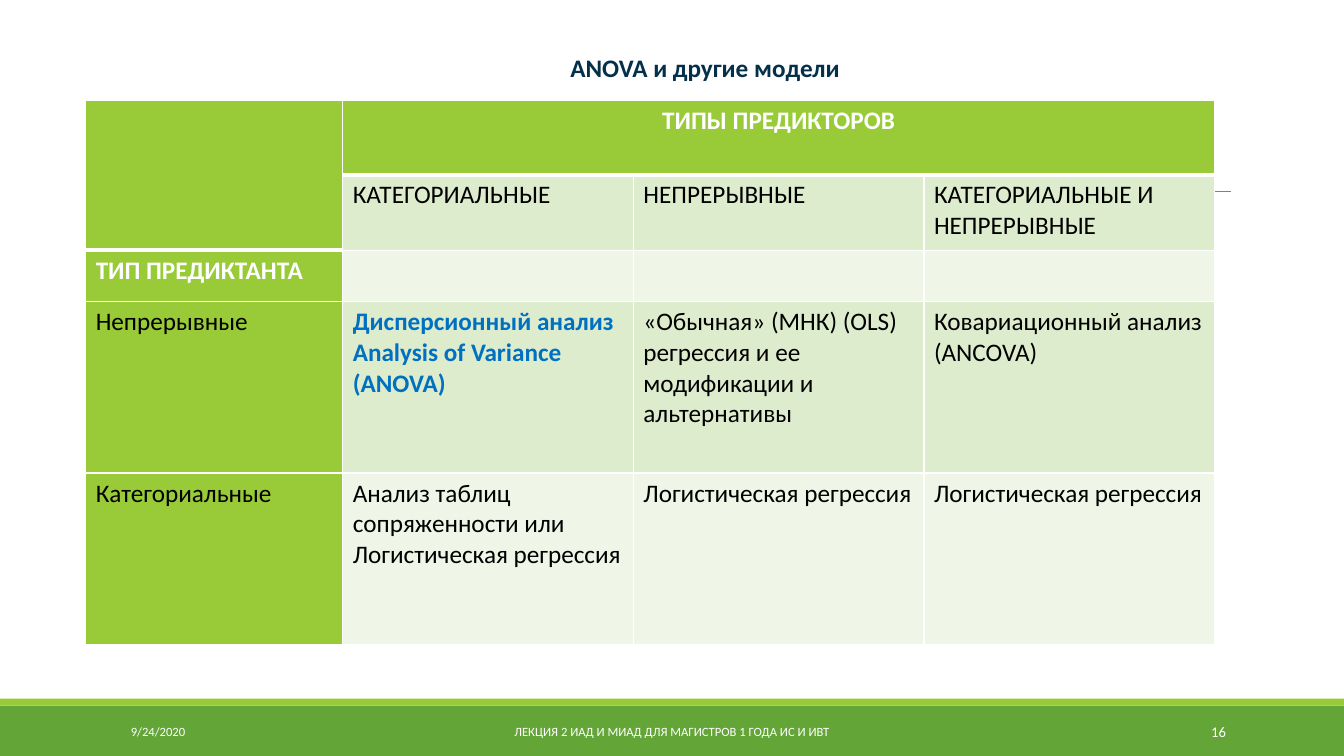
from lxml.etree import SubElement
from pptx import Presentation
from pptx.dml.color import RGBColor
from pptx.enum.shapes import MSO_CONNECTOR as CONN, MSO_SHAPE as SHAPE
from pptx.enum.text import MSO_ANCHOR as ANCHOR, PP_ALIGN as ALIGN
from pptx.oxml.ns import qn
from pptx.util import Pt

TITLE = "ANOVA и другие модели"
ROWS = [
    ["", "ТИПЫ ПРЕДИКТОРОВ", "", ""],
    ["", "КАТЕГОРИАЛЬНЫЕ", "НЕПРЕРЫВНЫЕ", "КАТЕГОРИАЛЬНЫЕ И НЕПРЕРЫВНЫЕ"],
    ["ТИП ПРЕДИКТАНТА", "", "", ""],
    ["Непрерывные", "Дисперсионный анализ\nAnalysis of Variance (ANOVA)",
     "«Обычная» (МНК) (OLS) регрессия и ее модификации и альтернативы",
     "Ковариационный анализ (ANCOVA)"],
    ["Категориальные", "Анализ таблиц сопряженности или Логистическая регрессия",
     "Логистическая регрессия", "Логистическая регрессия"],
]
COL_WIDTHS = [183.6] + [207.6] * 3
ROW_HEIGHTS = [53.3, 54, 36.7, 122.4, 122.4]
WHITE, BLACK, LIME, GREEN = "FFFFFF", "000000", "99CB38", "63A537"
BANDS = ["EFF6E8", "DEECCE"]
# Cells whose text differs from plain black
ACCENTS = {
    (0, 1): dict(color=WHITE, bold=True, align=ALIGN.CENTER),
    (2, 0): dict(color=WHITE, bold=True),
    (3, 1): dict(color="0070C0", bold=True),
}
# Cells with a heavy rule below them
HEAVY = {(1, 0), (0, 1), (0, 2), (0, 3)}
# text, left, width, size, alignment
FOOTER = [
    ("9/24/2020", 86.4, 194.4, 9, ALIGN.LEFT),
    ("ЛЕКЦИЯ 2 ИАД И МИАД ДЛЯ МАГИСТРОВ 1 ГОДА ИС И ИВТ", 290.2, 379.4, 9, ALIGN.CENTER),
    ("16", 779.8, 103, 10.5, ALIGN.RIGHT),
]


def rgb(value):
    return RGBColor.from_string(value)


def write(tf, text, size=18, color=BLACK, bold=False, align=ALIGN.LEFT):
    tf.word_wrap = True
    for i, line in enumerate(text.split("\n")):
        p = tf.add_paragraph() if i else tf.paragraphs[0]
        p.alignment = align
        r = p.add_run()
        r.text = line
        r.font.name, r.font.size, r.font.bold = "Calibri", Pt(size), bold
        r.font.color.rgb = rgb(color)


def add_border(cell, side, width):
    ln = SubElement(cell._tc.get_or_add_tcPr(), qn("a:ln" + side), w=str(Pt(width)))
    SubElement(SubElement(ln, qn("a:solidFill")), qn("a:srgbClr"), val=WHITE)


def add_band(top, height, color):
    sp = s.shapes.add_shape(SHAPE.RECTANGLE, 0, Pt(top), prs.slide_width, Pt(height))
    sp.shadow.inherit = False
    sp.fill.solid()
    sp.fill.fore_color.rgb = rgb(color)
    sp.line.fill.background()


prs = Presentation()
prs.slide_width, prs.slide_height = Pt(960), Pt(540)
s = prs.slides.add_slide(prs.slide_layouts[5])

# Footer bands and the thin rule behind the table
add_band(504, 36, GREEN)
add_band(499, 5, LIME)
rule = s.shapes.add_connector(CONN.STRAIGHT, Pt(94.3), Pt(136.8), Pt(879.1), Pt(136.8))
rule.line.color.rgb = rgb("808080")
rule.line.width = Pt(0.5)
SubElement(rule._element.spPr, qn("a:effectLst"))

# Table
frame = s.shapes.add_table(len(ROWS), len(COL_WIDTHS), Pt(61.2), Pt(71.5),
                           Pt(sum(COL_WIDTHS)), Pt(sum(ROW_HEIGHTS)))
table = frame.table
for col, width in zip(table.columns, COL_WIDTHS):
    col.width = Pt(width)
for row, height in zip(table.rows, ROW_HEIGHTS):
    row.height = Pt(height)
table.cell(0, 0).merge(table.cell(1, 0))
table.cell(0, 1).merge(table.cell(0, 3))

for i, texts in enumerate(ROWS):
    for j, text in enumerate(texts):
        cell = table.cell(i, j)
        below = 3 if (i, j) in HEAVY or (i, j) == (0, 0) else 1
        above = 3 if (i - 1, j) in HEAVY else 1
        for side, width in zip("LRTB", (1, 1, above, below)):
            add_border(cell, side, width)
        cell.fill.solid()
        cell.fill.fore_color.rgb = rgb(LIME if i == 0 or j == 0 else BANDS[i % 2])
        if text:
            write(cell.text_frame, text, **ACCENTS.get((i, j), {}))

# Footer texts
for text, left, width, size, align in FOOTER:
    tf = s.shapes.add_textbox(Pt(left), Pt(508.3), Pt(width), Pt(28.8)).text_frame
    tf.vertical_anchor = ANCHOR.MIDDLE
    write(tf, text, size=size, color=WHITE, align=align)

# Title, pushed right by a paragraph indent
title = s.shapes.title
title.left, title.top, title.width, title.height = Pt(115.2), Pt(32.4), Pt(520.6), Pt(29.5)
tf = title.text_frame
tf.vertical_anchor = ANCHOR.TOP
write(tf, TITLE, color="04304B", bold=True, align=ALIGN.CENTER)
p = tf.paragraphs[0]
p.line_spacing = 1.07
p._p.get_or_add_pPr().set("marL", str(Pt(256.3)))

prs.save("out.pptx")
